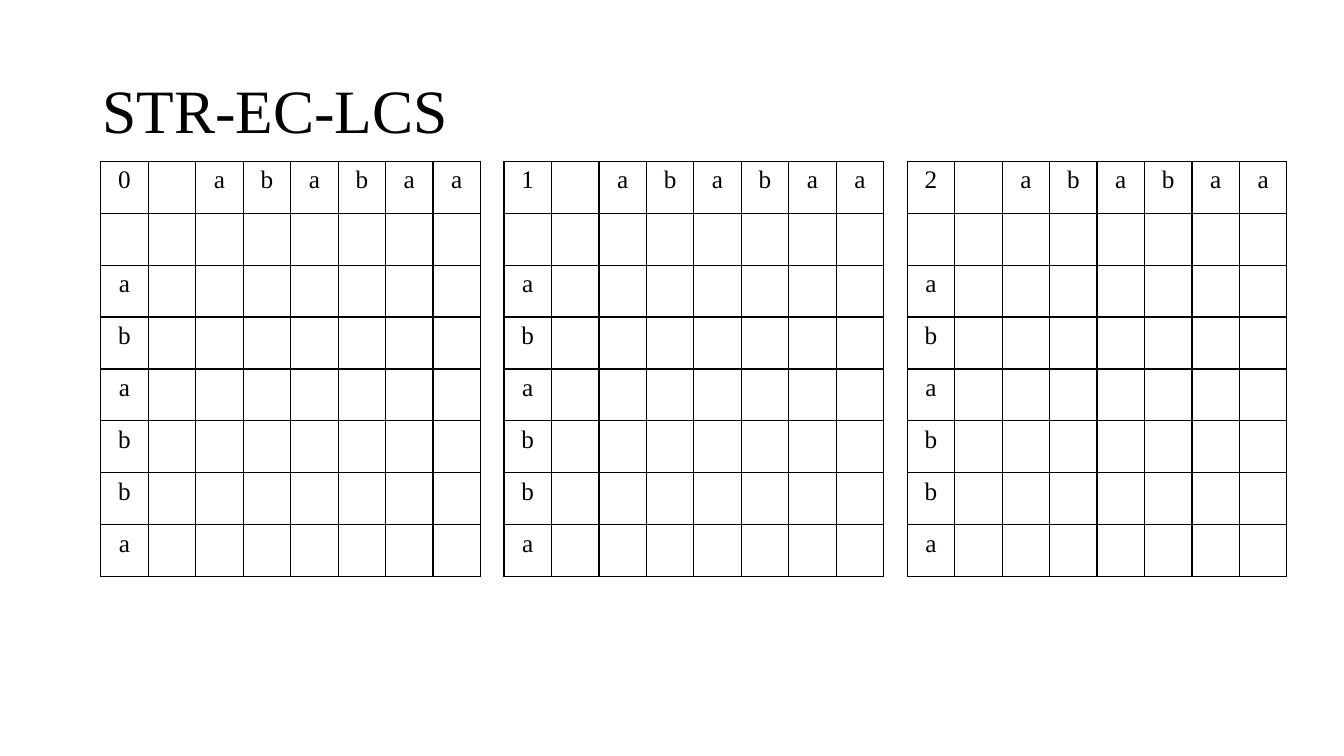
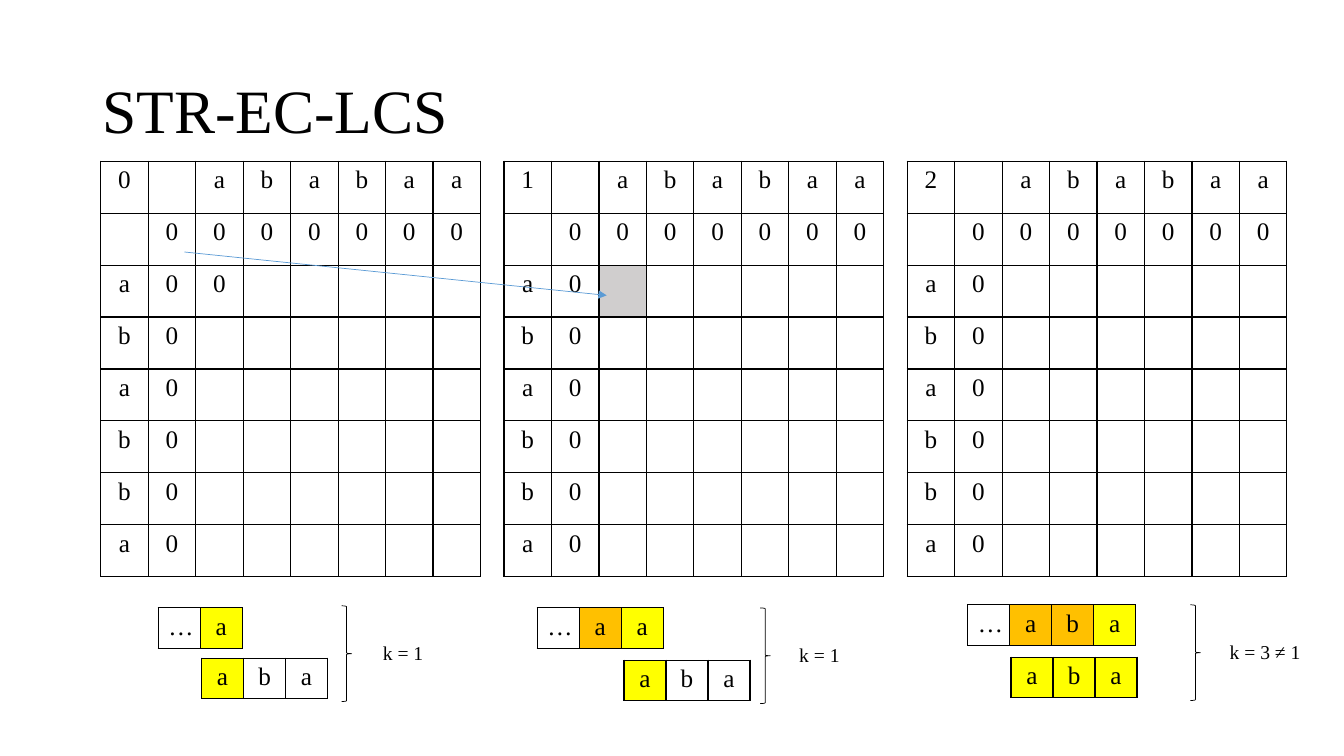
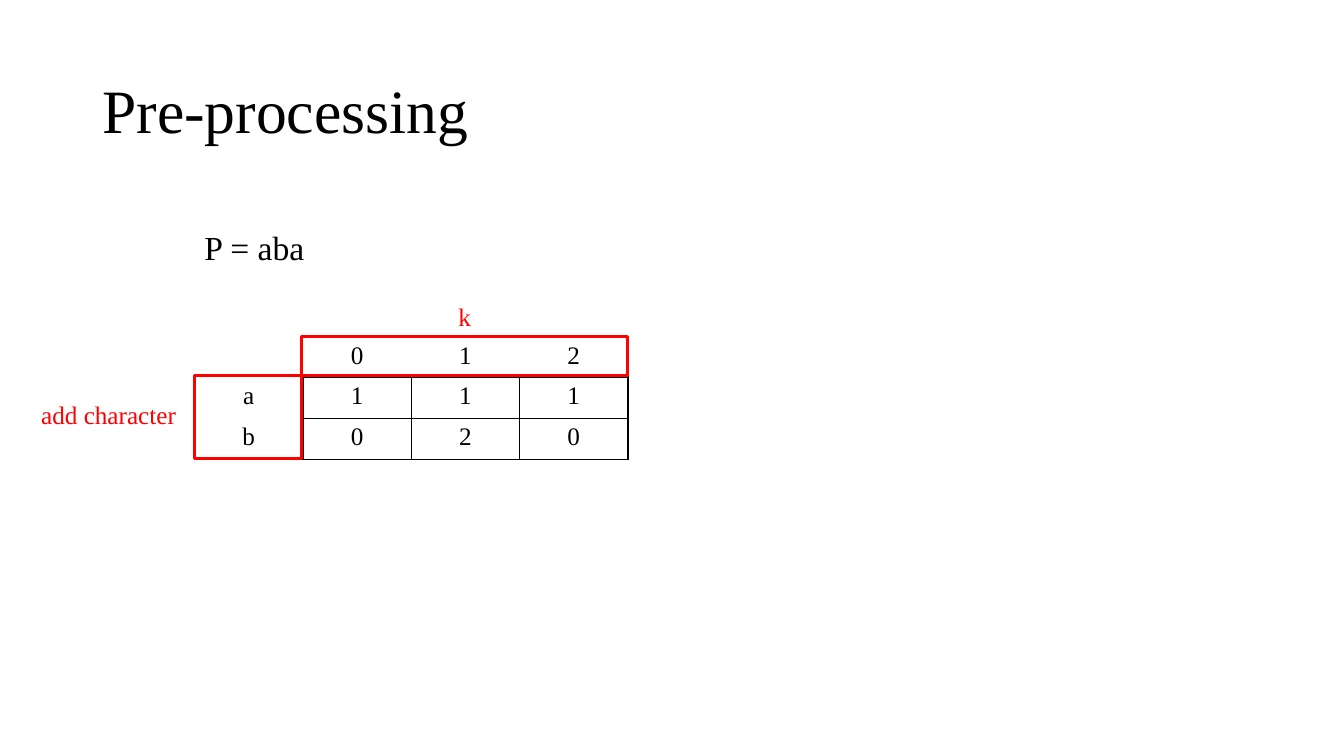
from lxml.etree import SubElement
from pptx import Presentation
from pptx.dml.color import RGBColor as RGB
from pptx.enum.shapes import MSO_CONNECTOR as Conn, MSO_SHAPE as Shape
from pptx.enum.text import MSO_ANCHOR as Anchor, PP_ALIGN as Align
from pptx.oxml import parse_xml
from pptx.oxml.ns import nsdecls, qn
from pptx.util import Pt

FONT = "Times New Roman"
COLORS = {"black": "000000", "red": "FF0000", "blue": "5B9BD5",
          "grey": "D0CECE", "gold": "FFC000", "yellow": "FFFF00"}
FILLS = {"g": "grey", "o": "gold", "y": "yellow"}
SIDES = "LRTB"


def label(slide, x, y, w, h, text, size, color="black", wrap=False):
    box = slide.shapes.add_textbox(Pt(x), Pt(y), Pt(w), Pt(h))
    frame = box.text_frame
    frame.word_wrap = wrap
    frame.text = text
    font = frame.paragraphs[0].runs[0].font
    font.name, font.size = FONT, Pt(size)
    font.color.rgb = RGB.from_string(COLORS[color])
    return frame


def grid(slide, x, y, wide, highs, rows, fills=(), edges=None):
    """Each character of a row is one cell; a space leaves the cell empty."""
    count = len(rows[0])
    table = slide.shapes.add_table(len(rows), count, Pt(x), Pt(y),
                                   Pt(wide * count), Pt(sum(highs))).table
    table.first_row = table.horz_banding = False
    for col in table.columns:
        col.width = Pt(wide)
    for r, row in enumerate(rows):
        table.rows[r].height = Pt(highs[r])
        for c, char in enumerate(row):
            cell = table.cell(r, c)
            # Fill
            tint = fills[r][c] if fills else " "
            if tint in FILLS:
                cell.fill.solid()
                cell.fill.fore_color.rgb = RGB.from_string(COLORS[FILLS[tint]])
            else:
                cell.fill.background()
            # Borders
            shown = edges(r, c) if edges else SIDES
            for i, side in enumerate(SIDES):
                paint = "<a:noFill/>"
                if side in shown:
                    paint = f'<a:solidFill><a:srgbClr val="{COLORS["black"]}"/></a:solidFill>'
                line = f'<a:ln{side} {nsdecls("a")} w="12700">{paint}</a:ln{side}>'
                cell._tc.get_or_add_tcPr().insert(i, parse_xml(line))
            # Text
            if char == " ":
                cell.margin_top = 0
                continue
            cell.text_frame.text = char
            para = cell.text_frame.paragraphs[0]
            para.alignment = Align.CENTER
            font = para.runs[0].font
            font.name, font.size = FONT, Pt(18)
            font.color.rgb = RGB.from_string(COLORS["black"])


deck = Presentation()
deck.slide_width, deck.slide_height = Pt(960), Pt(540)

# Slides and titles
slides = []
for name in ("STR-EC-LCS", "STR-EC-LCS", "Pre-processing"):
    slide = deck.slides.add_slide(deck.slide_layouts[6])
    title = label(slide, 66, 28.8, 828, 104.4, name, 44, wrap=True)
    title.vertical_anchor = Anchor.MIDDLE
    title.paragraphs[0].line_spacing = 0.9
    slides.append(slide)
blank, start, prep = slides

# Three score tables, first empty, then with their zero row and column
for k in range(3):
    x = 72 + 288 * k
    head = f"{k} ababaa"
    empty = [head, " " * 8] + [c.ljust(8) for c in "ababba"]
    zeros = [head, " " + "0" * 7] + [f"{c}0".ljust(8) for c in "ababba"]
    tints = [" " * 8] * 8
    if k == 0:
        zeros[2] = "a00".ljust(8)
    if k == 1:
        tints[2] = "  g".ljust(8)
    grid(blank, x, 115.2, 33.93, [37.08] * 8, empty)
    grid(start, x, 115.2, 33.93, [37.08] * 8, zeros, tints)

# Overlap examples: prefix, pattern, brace, value of k
examples = [
    (113, 434.2, "…a", " y", 144, "y  ", 244, 432.7, 266.4, 44, "k = 1"),
    (383.8, 434.2, "…aa", " oy", 445.7, "y  ", 543, 434.2, 563.8, 44, "k = 1"),
    (691.2, 432, "…aba", " ooy", 722.2, "yyy", 850.3, 432, 871.2, 65.5, "k = 3 ≠ 1"),
]
for x, y, text, tint, low, match, bx, by, kx, kw, value in examples:
    grid(start, x, y, 30, [28], [text], [tint])
    grid(start, low, by + 37.4, 30, [28], ["aba"], [match])
    brace = start.shapes.add_shape(Shape.RIGHT_BRACE, Pt(bx), Pt(by), Pt(7.2), Pt(68.4))
    brace.shadow.inherit = False
    brace.fill.background()
    brace.line.color.rgb = RGB.from_string(COLORS["black"])
    brace.line.width = Pt(0.5)
    label(start, kx, by + 21.6, kw, 24.5, value, 14)

# Arrow from table 0 to table 1
arrow = start.shapes.add_connector(Conn.STRAIGHT, Pt(131.8), Pt(180), Pt(433.4), Pt(211))
arrow.line.color.rgb = RGB.from_string(COLORS["blue"])
arrow.line.width = Pt(0.5)
SubElement(arrow.line._get_or_add_ln(), qn("a:tailEnd"), type="triangle")
SubElement(arrow._element.spPr, qn("a:effectLst"))

# Transition table: header row and column only touch the values
grid(prep, 139, 240.5, 77.4, [28, 29.5, 29.5], [" 012", "a111", "b020"],
     edges=lambda r, c: SIDES if r and c else "R" if r else "B" if c else "")
label(prep, 139, 158.4, 86.4, 36, "P = aba", 24)

# Red frames and their labels
for x, y, w, h in ((215.5, 240.5, 232.5, 28), (139, 268.5, 76.5, 59)):
    frame = prep.shapes.add_shape(Shape.RECTANGLE, Pt(x), Pt(y), Pt(w), Pt(h))
    frame.shadow.inherit = False
    frame.fill.background()
    frame.line.color.rgb = RGB.from_string(COLORS["red"])
    frame.line.width = Pt(2.25)
label(prep, 320.4, 211.7, 183, 28.8, "k", 18, "red", wrap=True)
label(prep, 22.3, 281.5, 246, 28.8, "add character", 18, "red", wrap=True)

deck.save("out.pptx")
